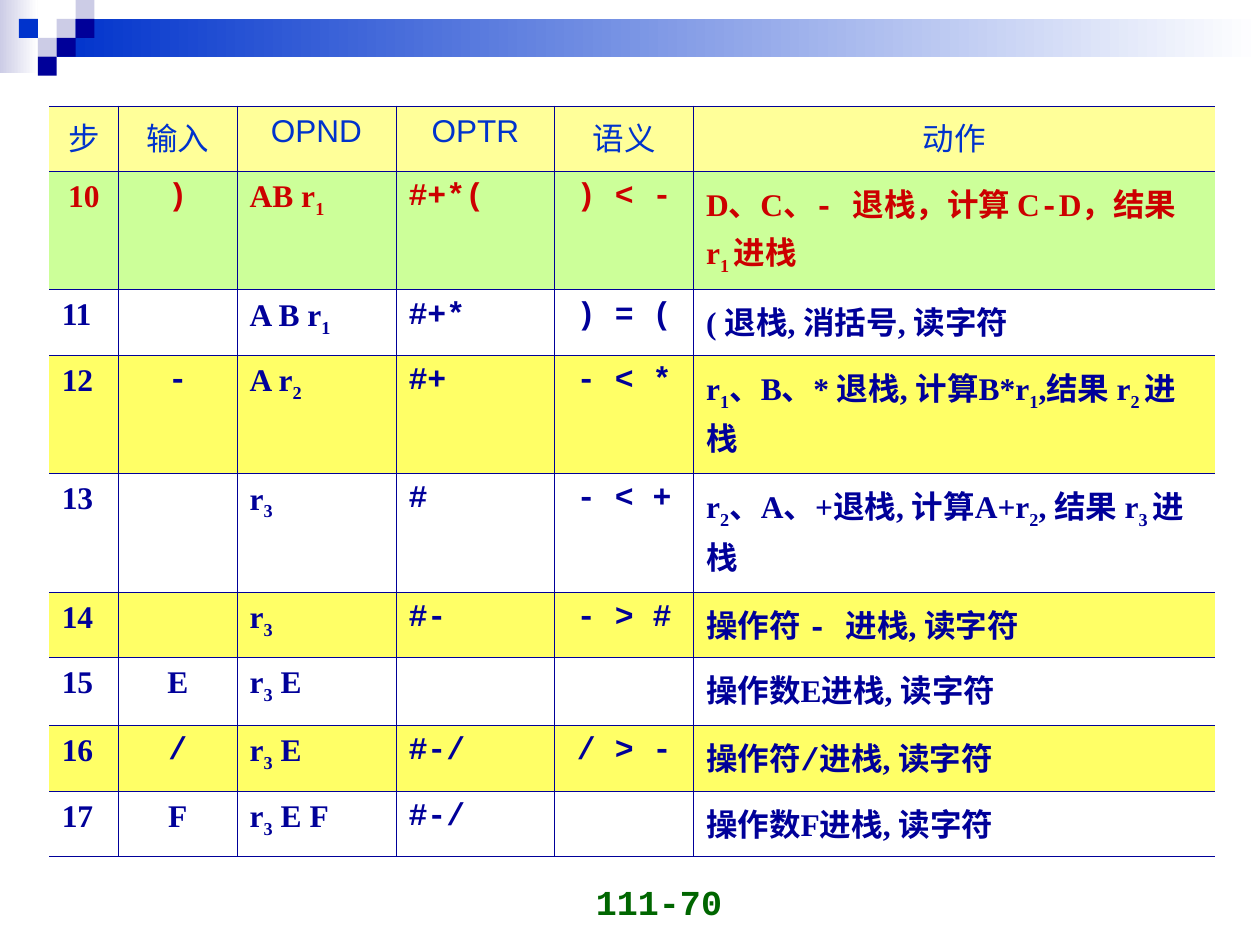
import lxml.etree
import pptx
import pptx.dml.color
import pptx.enum.shapes
import pptx.enum.text
import pptx.oxml.ns
import pptx.util

WIDTH, HEIGHT = 10, 7.5
UNIT = 0.15  # side of one square of the corner mosaic
NAVY, BLUE, LILAC = "000099", "0033CC", "CCCCE6"
RED, GREEN, WHITE = "CC0000", "006600", "FFFFFF"
SERIF, SANS, MONO = "Times New Roman", "Arial", "Courier New"
LEFT, CENTER, RIGHT = (getattr(pptx.enum.text.PP_ALIGN, name)
                       for name in ("LEFT", "CENTER", "RIGHT"))

# Mosaic squares: column, row, colour
SQUARES = [(3, 1, LILAC), (4, 0, LILAC), (4, 1, NAVY), (2, 2, LILAC),
           (1, 1, BLUE), (3, 2, NAVY), (2, 3, NAVY)]

COLUMN_WEIGHTS = [0.55, 0.94, 1.26, 1.26, 1.1, 4.13]
ROW_WEIGHTS = [0.52, 0.94, 0.52, 0.94, 0.94, 0.52, 0.54, 0.52, 0.52]
COLUMN_ALIGNS = [LEFT, CENTER, LEFT, LEFT, CENTER, LEFT]
ROW_FILLS = ["FFFF99", "CCFF99", None, "FFFF66", None, "FFFF66", None, "FFFF66", None]

# `text` is monospaced, ~text~ is subscript
HEADER = ["步", "输入", "OPND", "OPTR", "语义", "动作"]
STEPS = [
    ["10", "`)`", "AB r~1~", "`#+*(`", "`) < -`",
     "D、C、`- `退栈，计算 C`-`D，结果 r~1 ~进栈"],
    ["11", "", "A B r~1~", "`#+*`", "`) = (`", "( 退栈, 消括号, 读字符"],
    ["12", "`-`", "A r~2~", "`#+`", "`- < *`",
     "r~1~、B、* 退栈, 计算B*r~1~,结果 r~2 ~进栈"],
    ["13", "", "r~3~", "`#`", "`- < +`",
     "r~2~、A、+退栈, 计算A+r~2~, 结果 r~3 ~进栈"],
    ["14", "", "r~3~", "`#-`", "`- > #`", "操作符 `- `进栈, 读字符"],
    ["15", "E", "r~3~ E", "", "", "操作数E进栈, 读字符"],
    ["16", "`/`", "r~3~ E", "`#-/`", "`/ > -`", "操作符`/`进栈, 读字符"],
    ["17", "F", "r~3~ E F", "`#-/`", "", "操作数F进栈, 读字符"],
]


def color(value):
    return pptx.dml.color.RGBColor.from_string(value)


def inches(*values):
    return [pptx.util.Inches(value) for value in values]


def set_font(font, size, name, value, bold):
    formats = {"size": pptx.util.Pt(size), "name": name, "bold": bold}
    for key, setting in formats.items():
        setattr(font, key, setting)
    font.color.rgb = color(value)


def add_block(page, box, *colors):
    """Draw a rectangle: one colour is solid, two make a left-to-right gradient."""
    block = page.shapes.add_shape(
        pptx.enum.shapes.MSO_SHAPE.RECTANGLE, *inches(*box))
    block.shadow.inherit = False
    block.line.fill.background()
    if len(colors) == 1:
        block.fill.solid()
        block.fill.fore_color.rgb = color(colors[0])
        return
    block.fill.gradient()
    block.fill.gradient_angle = 0
    for position, (stop, value) in enumerate(zip(block.fill.gradient_stops, colors)):
        stop.position = position
        stop.color.rgb = color(value)


def add_banner(page, box):
    left, top, width, height = box
    add_block(page, (left, top, 2 * UNIT, height), LILAC, WHITE)
    add_block(page, (left + 3 * UNIT, top + UNIT, width - 3 * UNIT, 2 * UNIT),
              BLUE, WHITE)
    for column, row, value in SQUARES:
        add_block(page, (left + column * UNIT, top + row * UNIT, UNIT, UNIT), value)


def write_markup(para, text, size, value, bold, base_font=SERIF):
    for i, mono_part in enumerate(text.split("`")):
        for j, part in enumerate(mono_part.split("~")):
            if not part:
                continue
            span = para.add_run()
            span.text = part
            set_font(span.font, size, MONO if i % 2 else base_font, value, bold)
            if j % 2:
                span.font._element.set("baseline", "-25000")


def set_borders(cell, sides):
    """Rule the named sides and leave the other sides open."""
    properties = cell._tc.get_or_add_tcPr()
    qn = pptx.oxml.ns.qn
    for side in "LRTB":
        line = lxml.etree.SubElement(properties, qn("a:ln" + side),
                                     w=str(pptx.util.Pt(0.45)))
        if side in sides:
            fill = lxml.etree.SubElement(line, qn("a:solidFill"))
            lxml.etree.SubElement(fill, qn("a:srgbClr"), val=NAVY)
        else:
            lxml.etree.SubElement(line, qn("a:noFill"))


def fill_cell(cell, text, row, column):
    last = len(HEADER) - 1
    set_borders(cell, "TB" + "L" * (column > 0) + "R" * (column < last))
    if ROW_FILLS[row]:
        cell.fill.solid()
        cell.fill.fore_color.rgb = color(ROW_FILLS[row])
    else:
        cell.fill.background()
    para = cell.text_frame.paragraphs[0]
    centered = row == 0 or (row, column) == (1, 0)
    para.alignment = CENTER if centered else COLUMN_ALIGNS[column]
    para.line_spacing = 1.05
    value = {0: BLUE, 1: RED}.get(row, NAVY)
    base_font = SANS if row == 0 and text.isascii() else SERIF
    set_font(para.font, 18, base_font, value, row > 0)
    write_markup(para, text, 18, value, row > 0, base_font)


def add_steps_table(page, box):
    rows = [HEADER] + STEPS
    table = page.shapes.add_table(len(rows), len(HEADER), *inches(*box)).table
    table.first_row = table.horz_banding = False
    for column, weight in zip(table.columns, COLUMN_WEIGHTS):
        column.width = pptx.util.Inches(box[2] * weight / sum(COLUMN_WEIGHTS))
    for row, weight in zip(table.rows, ROW_WEIGHTS):
        row.height = pptx.util.Inches(box[3] * weight / sum(ROW_WEIGHTS))
    for i, texts in enumerate(rows):
        for j, text in enumerate(texts):
            fill_cell(table.cell(i, j), text, i, j)


def add_page_number(page, box, text):
    frame = page.shapes.add_textbox(*inches(*box)).text_frame
    frame.word_wrap = True
    frame.vertical_anchor = pptx.enum.text.MSO_ANCHOR.BOTTOM
    para = frame.paragraphs[0]
    para.alignment = RIGHT
    write_markup(para, text, 20, GREEN, True, MONO)


def main():
    deck = pptx.Presentation()
    deck.slide_width, deck.slide_height = inches(WIDTH, HEIGHT)
    page = deck.slides.add_slide(deck.slide_layouts[6])
    add_banner(page, (0, 0, WIDTH, 0.58))
    add_page_number(page, (0.35 * WIDTH, 6.87, 2.33, 0.5), "111-70")
    add_steps_table(page, (0.39, 0.84, 9.25, 5.96))
    deck.save("out.pptx")


if __name__ == "__main__":
    main()
